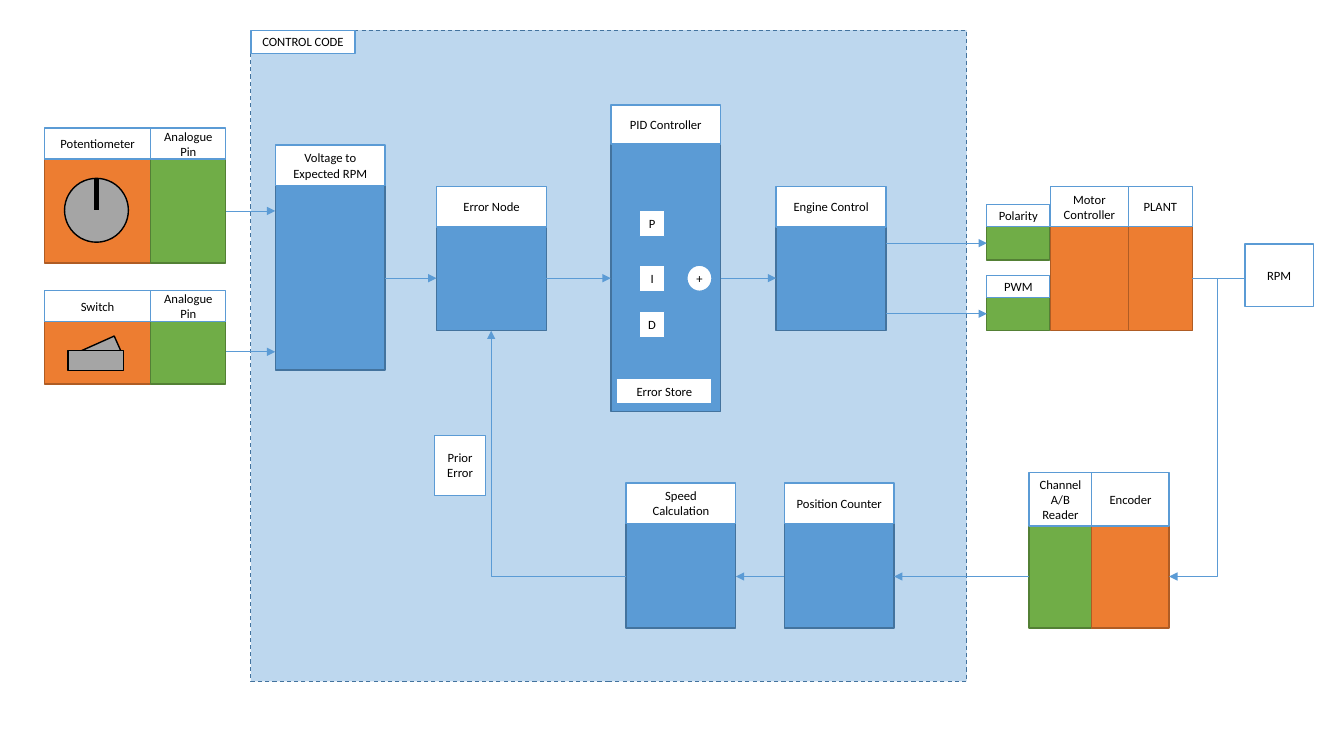
"""Block diagram of a motor speed control loop."""
from collections import namedtuple

import pptx
import pptx.dml.color
import pptx.enum.dml
import pptx.enum.shapes
import pptx.enum.text
import pptx.oxml
import pptx.util

Pt = pptx.util.Pt
RGBColor = pptx.dml.color.RGBColor
SHAPE = pptx.enum.shapes.MSO_SHAPE
CONNECTOR = pptx.enum.shapes.MSO_CONNECTOR

WHITE = RGBColor(0xFF, 0xFF, 0xFF)
BLACK = RGBColor(0x00, 0x00, 0x00)
GREY = RGBColor(0xA5, 0xA5, 0xA5)
PALE_BLUE = RGBColor(0xBD, 0xD7, 0xEE)
BLUE = RGBColor(0x5B, 0x9B, 0xD5)
DARK_BLUE = RGBColor(0x43, 0x73, 0x9E)
ORANGE = RGBColor(0xED, 0x7D, 0x31)
GREEN = RGBColor(0x70, 0xAD, 0x47)
OUTLINES = {
    BLUE: DARK_BLUE,
    ORANGE: RGBColor(0xAF, 0x5C, 0x24),
    GREEN: RGBColor(0x53, 0x80, 0x35),
    GREY: BLACK,
    WHITE: BLUE,
    PALE_BLUE: DARK_BLUE,
}
STEP_WIDTH = 78.5
NAMESPACE = pptx.oxml.ns.nsdecls("a")

Box = namedtuple("Box", "left top width height")


def inside(box, left, top, width, height):
    """Return a box placed by its offset from the corner of another box."""
    return Box(box.left + left, box.top + top, width, height)


def add_area(shapes, box, fill, kind=SHAPE.RECTANGLE):
    """Add a filled shape with the outline that belongs to its fill."""
    area = shapes.add_shape(kind, *map(Pt, box))
    area.shadow.inherit = False
    area.fill.solid()
    area.fill.fore_color.rgb = fill
    area.line.color.rgb = OUTLINES[fill]
    area.line.width = Pt(1)
    return area


def add_label(page, box, text, kind=SHAPE.RECTANGLE):
    """Add a white shape with centred black text."""
    label = add_area(page.shapes, box, WHITE, kind)
    frame = label.text_frame
    frame.word_wrap = True
    frame.vertical_anchor = pptx.enum.text.MSO_ANCHOR.MIDDLE
    frame.margin_left = frame.margin_right = Pt(7.2 if box.width > 20 else 0)
    frame.margin_top = frame.margin_bottom = Pt(0)
    para = frame.paragraphs[0]
    para.alignment = pptx.enum.text.PP_ALIGN.CENTER
    span = para.add_run()
    span.text = text
    span.font.name = "Calibri"
    span.font.size = Pt(9)
    span.font.color.rgb = BLACK


def add_block(page, box, header, text, fill):
    """Add a coloured body under a white header of the given height."""
    add_area(page.shapes, inside(box, 0, header, box.width, box.height - header), fill)
    add_label(page, box._replace(height=header), text)


def add_line(shapes, start, end, color=BLUE, width=0.5, arrow=True,
             kind=CONNECTOR.STRAIGHT):
    """Add a connector, with an arrowhead at its end if wanted."""
    line = shapes.add_connector(kind, *map(Pt, (*start, *end)))
    line.line.color.rgb = color
    line.line.width = Pt(width)
    if arrow:
        line.line._get_or_add_ln().append(
            pptx.oxml.parse_xml(f'<a:tailEnd {NAMESPACE} type="triangle"/>'))
    line._element.spPr.append(pptx.oxml.parse_xml(f"<a:effectLst {NAMESPACE}/>"))
    return line


def draw_knob(page, box):
    """Draw the potentiometer knob and its pointer."""
    shapes = page.shapes.add_group_shape().shapes
    add_area(shapes, box, GREY, SHAPE.OVAL)
    middle = box.left + box.width / 2
    add_line(shapes, (middle, box.top), (middle, box.top + box.height / 2),
             BLACK, 3, arrow=False)


def draw_switch(page, box):
    """Draw the tilted lever behind the switch base."""
    shapes = page.shapes.add_group_shape().shapes
    lever = add_area(shapes, inside(box, 17, -2.2, 11.5, 27.4), GREY)
    lever.rotation = 65.9
    add_area(shapes, inside(box, 0, 10.8, box.width, 14.4), GREY)


def draw_inputs(page, box):
    """Draw the two input devices, each with its analogue pin."""
    for text, top, height in (("Potentiometer", 0, 96.5), ("Switch", 116, 66.9)):
        add_block(page, inside(box, 0, top, 76, height), 22.3, text, ORANGE)
        add_block(page, inside(box, 76, top, box.width - 76, height), 22.3,
                  "Analogue Pin", GREEN)
    draw_knob(page, inside(box, 14.4, 36, 45.6, 45.6))
    draw_switch(page, inside(box, 17, 148, 39.6, 25.2))


def draw_pid(page, box):
    """Draw the PID controller with its terms, sum and error store."""
    add_block(page, box, 28.1, "PID Controller", BLUE)
    for term, top in (("P", 75.6), ("I", 114.5), ("D", 147.6)):
        add_label(page, inside(box, 20.5, top, 18, 18.7), term)
    add_label(page, inside(box, 54.3, 114.5, 18, 18.7), "+", SHAPE.OVAL)
    add_label(page, inside(box, 4, 195.1, 68.4, 18.7), "Error Store")


def draw_code(page, box):
    """Draw the dashed code area and the steps that run inside it."""
    area = add_area(page.shapes, box, PALE_BLUE)
    area.line.width = Pt(0.75)
    area.line.dash_style = pptx.enum.dml.MSO_LINE.DASH
    add_label(page, inside(box, 0, 0, 74.2, 16.6), "CONTROL CODE")
    steps = (
        ("Voltage to Expected RPM", 17.3, 82.1, 160.5),
        ("Error Node", 132.5, 111.6, 103),
        ("Engine Control", 375.1, 111.6, 103),
        ("Speed Calculation", 267.8, 323.3, 103.7),
        ("Position Counter", 380.9, 323.3, 103.7),
    )
    for text, left, top, height in steps:
        add_block(page, inside(box, left, top, STEP_WIDTH, height), 29, text, BLUE)
    draw_pid(page, inside(box, 257, 53.3, STEP_WIDTH, 218.9))
    add_label(page, inside(box, 131, 289.4, 36.7, 42.8), "Prior Error")


def draw_motor(page, box):
    """Draw the motor controller with its two pins, and the plant."""
    for text, top in (("Polarity", 13), ("PWM", 63.4)):
        add_block(page, inside(box, 0, top, 45, 39.6), 15.8, text, GREEN)
    for text, left, width in (("Motor Controller", 45.3, 55.8), ("PLANT", 101.1, 45.7)):
        add_block(page, inside(box, left, 0, width, box.height), 28.8, text, ORANGE)


def draw_encoder(page, box):
    """Draw the encoder with its channel reader."""
    add_block(page, box._replace(width=44.7), 38, "Channel A/B Reader", GREEN)
    add_block(page, inside(box, 44.7, 0, box.width - 44.7, box.height), 38,
              "Encoder", ORANGE)


def draw_wires(page, box):
    """Draw the signal arrows between the blocks."""
    def point(left, top):
        return box.left + left, box.top + top

    arrows = (
        (161.3, 196.6, 150.7), (161.3, 196.6, 251.3),
        (275.1, 311.8, 198.7), (390.3, 436.3, 198.7), (514.8, 554.4, 198.7),
        (632.9, 704.9, 173.7), (632.9, 704.9, 224.1),
        (735.1, 638.7, 411.8), (560.2, 525.6, 411.8),
    )
    for start, end, height in arrows:
        add_line(page.shapes, point(start, height), point(end, height))
    add_line(page.shapes, point(851.8, 198.7), point(889.2, 198.7), arrow=False)

    speed = add_line(page.shapes, point(851.8, 198.7), point(835.2, 411.8),
                     kind=CONNECTOR.ELBOW)
    speed._element.spPr.prstGeom.get_or_add_avLst().append(pptx.oxml.parse_xml(
        f'<a:gd {NAMESPACE} name="adj1" fmla="val -108000"/>'))
    feedback = add_line(page.shapes, point(447.1, 411.8), point(350.9, 236.2),
                        kind=CONNECTOR.ELBOW)
    feedback._element.spPr.prstGeom.set("prst", "bentConnector2")


def main():
    """Build the slide and save the deck."""
    deck = pptx.Presentation()
    deck.slide_width, deck.slide_height = Pt(960), Pt(540)
    page = deck.slides.add_slide(deck.slide_layouts[6])
    draw_code(page, Box(179.3, 21.6, 511.2, 465.1))
    draw_inputs(page, Box(31.7, 91.4, 129.6, 182.9))
    draw_motor(page, Box(704.9, 133.2, 146.8, 103))
    draw_encoder(page, Box(735.1, 337.7, 100.1, 110.9))
    add_label(page, Box(889.2, 174.2, 49, 44.6), "RPM")
    draw_wires(page, Box(0, 0, 960, 540))
    deck.save("out.pptx")


main()
